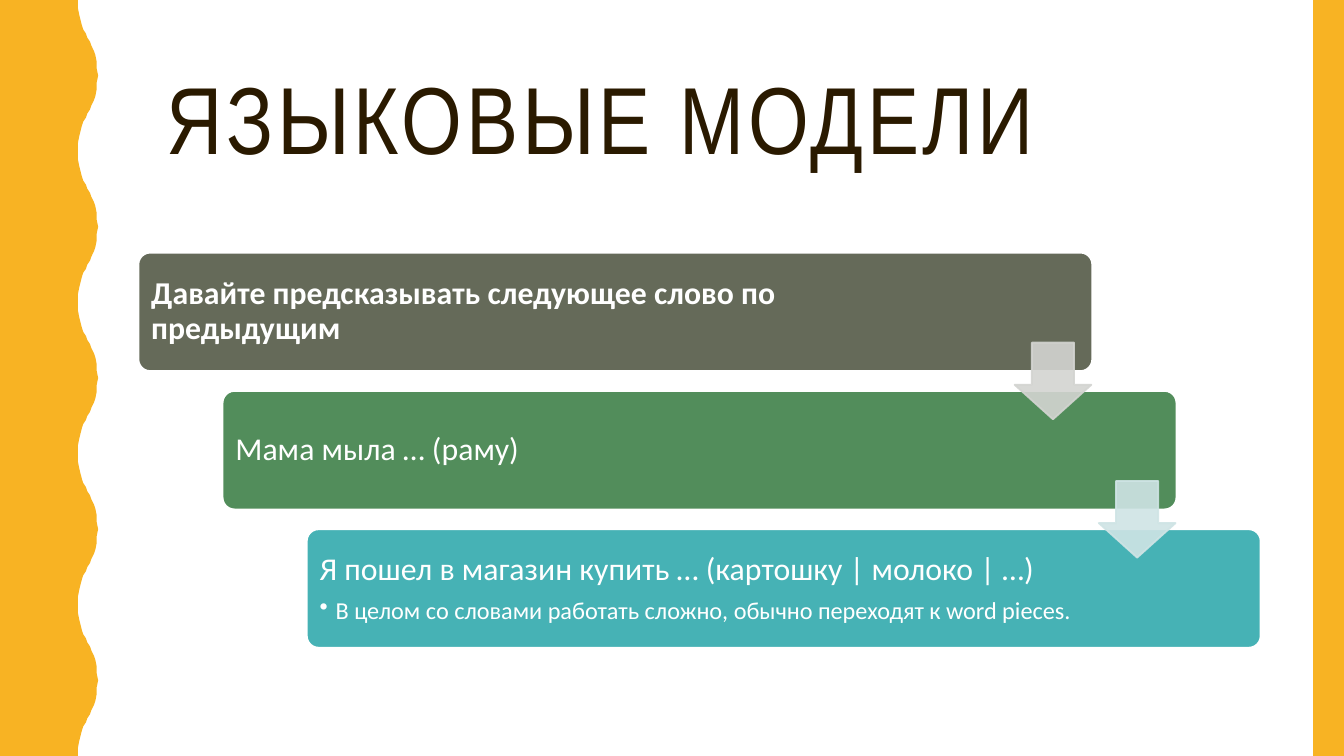
from lxml import etree
from pptx import Presentation
from pptx.dml.color import RGBColor
from pptx.enum.shapes import MSO_SHAPE as Shape
from pptx.enum.text import MSO_ANCHOR as Anchor, MSO_AUTO_SIZE as AutoSize, PP_ALIGN as Align
from pptx.oxml.ns import qn
from pptx.util import Inches, Pt

WIDTH, HEIGHT = 10, 5.625
YELLOW, DARK, WHITE = "F8B323", "2A1A00", "FFFFFF"
WAVES = 5
# Half a wave, trough to crest: x and y in inches
HALF_WAVE = [(0.58, 0), (0.58, 0.06), (0.59, 0.11), (0.6, 0.15), (0.61, 0.19),
             (0.62, 0.22), (0.64, 0.25), (0.65, 0.28), (0.67, 0.31), (0.68, 0.34),
             (0.7, 0.38), (0.71, 0.41), (0.72, 0.46), (0.72, 0.51), (0.73, 0.56)]

# Fill, right text inset, paragraphs as (text, bold, bulleted)
STEPS = [
    ("656A59", 0.98, [("Давайте предсказывать следующее слово по предыдущим", True, False)]),
    ("528D5B", 1.26, [("Мама мыла … (раму)", False, False)]),
    ("46B2B5", 1.26, [("Я пошел в магазин купить … (картошку | молоко | …)", False, False),
                      ("В целом со словами работать сложно, обычно переходят к word pieces.",
                       False, True)]),
]
ARROW_COLORS = ["D3D4D1", "CFE4E5"]


def rgb(color):
    return RGBColor.from_string(color)


def paint(shape, fill, line=None):
    shape.shadow.inherit = False
    shape.fill.solid()
    shape.fill.fore_color.rgb = rgb(fill)
    if line:
        shape.line.color.rgb = rgb(line)
        shape.line.width = Pt(1)
    else:
        shape.line.fill.background()


def add_run(paragraph, text, font_name, size, color, bold=False):
    run = paragraph.add_run()
    run.text = text
    run.font.name, run.font.size, run.font.bold = font_name, Pt(size), bold
    run.font.color.rgb = rgb(color)
    return run


def set_indent(paragraph, left, first_line=0):
    properties = paragraph._p.get_or_add_pPr()
    properties.set("marL", str(Inches(left)))
    properties.set("indent", str(Inches(first_line)))
    return properties


def add_title(slide, text, left, top, width, height):
    title = slide.shapes.title
    title.left, title.top = Inches(left), Inches(top)
    title.width, title.height = Inches(width), Inches(height)
    frame = title.text_frame
    frame.word_wrap, frame.auto_size = True, AutoSize.NONE
    frame.vertical_anchor = Anchor.MIDDLE
    paragraph = frame.paragraphs[0]
    set_indent(paragraph, 0.11)
    paragraph.alignment, paragraph.line_spacing = Align.LEFT, 0.9
    run = add_run(paragraph, text, "Arial Narrow", 51, DARK)
    run.font._element.set("spc", "200")


def add_wavy_edge(slide, left, top, height):
    period = height / WAVES
    wave = HALF_WAVE + [(x, period - y) for x, y in reversed(HALF_WAVE)]
    points = [(left + x, top + number * period + y)
              for number in range(WAVES) for x, y in wave]
    builder = slide.shapes.build_freeform(Inches(left), Inches(top), scale=1.0)
    builder.add_line_segments([(Inches(x), Inches(y))
                               for x, y in points + [(left, top + height)]])
    paint(builder.convert_to_shape(), YELLOW)


def add_side_band(slide, left, top, width, height):
    band = slide.shapes.add_shape(Shape.RECTANGLE, Inches(left), Inches(top),
                                  Inches(width), Inches(height))
    paint(band, YELLOW)


def add_step(slide, step, left, top, width, height):
    fill, right_inset, lines = step
    card = slide.shapes.add_shape(Shape.ROUNDED_RECTANGLE, Inches(left), Inches(top),
                                  Inches(width), Inches(height))
    card.adjustments[0] = 0.1
    paint(card, fill, WHITE)
    frame = card.text_frame
    frame.word_wrap, frame.vertical_anchor = True, Anchor.MIDDLE
    frame.margin_left = frame.margin_top = frame.margin_bottom = Inches(0.07)
    frame.margin_right = Inches(right_inset)
    for number, (text, bold, bulleted) in enumerate(lines):
        paragraph = frame.add_paragraph() if number else frame.paragraphs[0]
        if bulleted:
            properties = set_indent(paragraph, 0.12, -0.12)
            etree.SubElement(properties, qn("a:buChar")).set("char", "•")
        paragraph.alignment, paragraph.line_spacing = Align.LEFT, 0.9
        paragraph.space_after = Pt(2 if bulleted else 6)
        add_run(paragraph, text, "Calibri", 13 if bulleted else 17, WHITE, bold)


def add_step_arrow(slide, color, left, top, size):
    arrow = slide.shapes.add_shape(Shape.DOWN_ARROW, Inches(left), Inches(top),
                                   Inches(size), Inches(size))
    arrow.adjustments[0], arrow.adjustments[1] = 0.55, 0.45
    paint(arrow, color, color)
    for swatch in arrow._element.spPr.iter(qn("a:srgbClr")):
        etree.SubElement(swatch, qn("a:alpha")).set("val", "90000")


def add_staircase(slide, left, top, width, height):
    card_width, card_height = 0.85 * width, 0.3 * height
    gaps = len(STEPS) - 1
    step_x, step_y = (width - card_width) / gaps, (height - card_height) / gaps
    for number, step in enumerate(STEPS):
        add_step(slide, step, left + number * step_x, top + number * step_y,
                 card_width, card_height)
    for number, color in enumerate(ARROW_COLORS):
        add_step_arrow(slide, color, left + 6.52 + number * step_x,
                       top + 0.67 + number * step_y, 0.57)


def main():
    deck = Presentation()
    deck.slide_width, deck.slide_height = Inches(WIDTH), Inches(HEIGHT)
    slide = deck.slides.add_slide(deck.slide_layouts[5])
    slide.background.fill.solid()
    slide.background.fill.fore_color.rgb = rgb(WHITE)
    add_title(slide, "ЯЗЫКОВЫЕ МОДЕЛИ", 1.03, 0.31, 8.35, 1.22)
    add_wavy_edge(slide, 0, 0, HEIGHT)
    add_side_band(slide, 9.77, 0, 0.23, HEIGHT)
    add_staircase(slide, 1.03, 1.88, 8.35, 2.94)
    deck.save("out.pptx")


if __name__ == "__main__":
    main()
